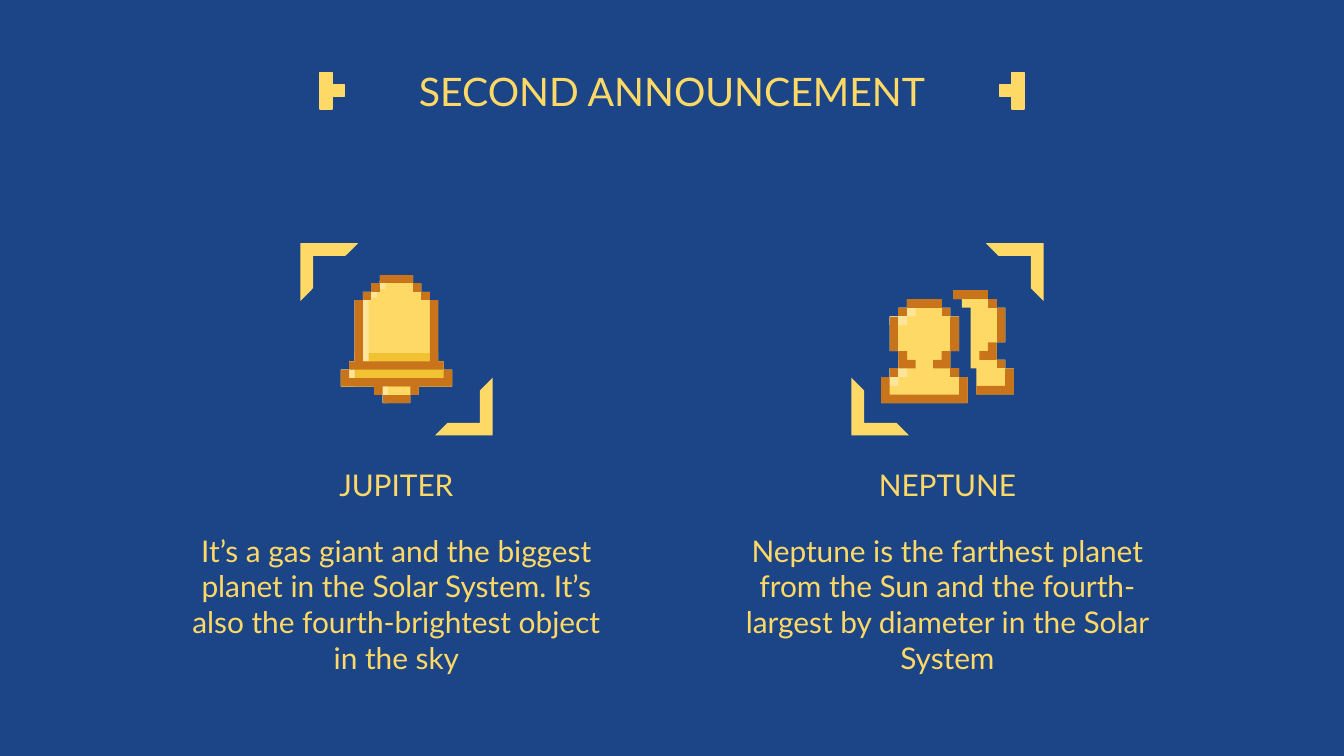
from pptx import Presentation
from pptx.dml.color import RGBColor
from pptx.enum.shapes import MSO_SHAPE as Shape
from pptx.enum.text import MSO_ANCHOR as Anchor, MSO_AUTO_SIZE as Fit, PP_ALIGN as Align
from pptx.util import Inches, Pt
from lxml import etree

# The slide is a grid of square cells, 100 columns wide
CELL = Inches(0.1)
COLS, ROWS = 100, 56.25
NAVY, GOLD, AMBER, CREAM, BROWN = "1C4587", "FFD966", "F1C232", "FFE599", "C9741B"

# Each outline lists x and y by turns, as its edges run down or up, then across
BELL = [
    (GOLD, "14 3 11 6 8 9 5 31 3 34 0 40 12 43 15 46 25 43 28 40 40 34 37 31 35 9 32 6 29 3 26 0"),
    (AMBER, "5 31 3 34 0 40 40 34 37 31 35 28"),
    (CREAM, "14 3 11 6 8 9 5 31 10 9 11 8 13 6 14 5 16 2"),
    (CREAM, "3 34 0 40 5 31"),
    (CREAM, "12 43 15 46 17 39"),
    (BROWN, "8 9 11 6"),
    (BROWN, "11 6 14 3"),
    (BROWN, "5 31 3 34 37 31 35 9 32 31 8 9"),
    (BROWN, "15 46 25 43"),
    (BROWN, "14 3 26 0"),
    (BROWN, "29 9 32 6"),
    (BROWN, "26 6 29 3"),
    (BROWN, "0 40 12 43 15 40 25 43 28 40 40 34 37 37 3 34"),
]
USERS = [
    (GOLD, "9 6 6 9 3 21 6 27 3 30 0 39 30 30 27 27 24 21 27 9 24 6 21 3"),
    (CREAM, "9 6 6 9 3 12 9 9 12 3"),
    (CREAM, "6 27 3 30 0 33 6 30 9 24"),
    (GOLD, "25 3 28 6 31 27 33 36 46 27 43 24 40 18 43 6 40 3 37 0"),
    (BROWN, "3 21 6 9"),
    (BROWN, "24 21 27 9"),
    (BROWN, "9 6 21 3"),
    (BROWN, "6 9 9 6"),
    (BROWN, "21 9 24 6"),
    (BROWN, "21 24 18 27 24 21"),
    (BROWN, "3 30 6 27"),
    (BROWN, "24 30 27 27"),
    (BROWN, "0 39 30 30 27 36 3 30"),
    (BROWN, "6 27 12 24 9 21"),
    (BROWN, "40 18 43 6"),
    (BROWN, "25 3 37 0"),
    (BROWN, "37 6 40 3"),
    (BROWN, "37 21 34 24 40 18"),
    (BROWN, "40 27 43 24"),
    (BROWN, "43 33 33 36 46 27"),
]
STUB = [(GOLD, f"{x} {y + 1} {x + 1} {y}") for x, y in [(0, 2), (0, 1), (0, 0), (1, 1)]]
STUB_BACK = [(GOLD, f"{x} {y + 1} {x + 1} {y}") for x, y in [(1, 0), (1, 1), (1, 2), (0, 1)]]


def grid(*sizes):
    return [round(size * CELL) for size in sizes]


def hue(code):
    return RGBColor.from_string(code)


def paint(shape, code, line=0):
    shape.shadow.inherit = False
    shape.fill.solid()
    shape.fill.fore_color.rgb = hue(code)
    if line:
        shape.line.color.rgb = hue(code)
        shape.line.width = Pt(line)
    else:
        shape.line.fill.background()


def write(holder, text, box, size, anchor):
    holder.left, holder.top, holder.width, holder.height = grid(*box)
    frame = holder.text_frame
    frame.text = text
    frame.word_wrap = True
    frame.auto_size = Fit.NONE
    frame.vertical_anchor = anchor
    frame.margin_left = frame.margin_right = CELL
    frame.margin_top = frame.margin_bottom = CELL
    para = frame.paragraphs[0]
    props = para._p.get_or_add_pPr()
    props.set("marL", "0")
    props.set("indent", "0")
    etree.SubElement(props, "{http://schemas.openxmlformats.org/drawingml/2006/main}buNone")
    para.alignment = Align.CENTER
    para.space_before = Pt(0)
    font = para.runs[0].font
    font.name, font.size, font.bold = "Lato", Pt(size), False
    font.color.rgb = hue(GOLD)


def draw(slide, parts, x, y, unit, line=0):
    """Draw the outlines as one group, each step being unit cells long."""
    group = slide.shapes.add_group_shape()
    for code, steps in parts:
        nums = [int(step) for step in steps.split()]
        xs, ys = nums[::2], nums[1::2]
        dots = [(a, b) for i, a in enumerate(xs) for b in (ys[i - 1], ys[i])]
        path = group.shapes.build_freeform(*dots[0], scale=unit * CELL)
        path.add_line_segments(dots[1:])
        paint(path.convert_to_shape(*grid(x, y)), code, line)


def header(slide, holder, text, box):
    write(holder, text, box, 21, Anchor.BOTTOM)
    x, y, wide, high = box
    mid, top, unit = x + wide / 2, y + 2.2, 0.9
    draw(slide, STUB, mid - 26.2, top, unit, 0.75)
    draw(slide, STUB_BACK, mid + 26.2 - 2 * unit, top, unit, 0.75)


def card(slide, holders, texts, icon, box, flip):
    """Stack framed icon, name and text; flip moves the frame to the other corners."""
    x, y, wide, high = box
    side, arm = 14.3, 4.3
    name, body = holders
    write(name, texts[0], (x, y + 16, wide, 4.3), 16, Anchor.BOTTOM)
    write(body, texts[1], (x, y + 20.5, wide, high - 20.5), 16, Anchor.TOP)

    parts, across, down, unit = icon
    mid = x + wide / 2
    draw(slide, parts, mid - across * unit / 2, y + 11.9 - down * unit, unit)

    left, gap = mid - side / 2, side - arm
    for dx, dy, turn in [(gap, 0, 90), (0, gap, 270)] if flip else [(0, 0, 0), (gap, gap, 180)]:
        edge = slide.shapes.add_shape(Shape.HALF_FRAME, *grid(left + dx, y + dy, arm, arm))
        edge.adjustments[0] = edge.adjustments[1] = 0.22
        edge.rotation = turn
        paint(edge, GOLD)


def main():
    deck = Presentation()
    deck.slide_width, deck.slide_height = grid(COLS, ROWS)
    slide = deck.slides.add_slide(deck.slide_layouts.get_by_name("Comparison"))
    slide.background.fill.solid()
    slide.background.fill.fore_color.rgb = hue(NAVY)

    title, *rest = slide.placeholders
    header(slide, title, "SECOND ANNOUNCEMENT", (3.4, 3.2, 93.2, 6.3))
    top, wide, high, edge = 18.1, 33.8, 32.6, 12.6
    cards = [
        ("JUPITER", "It’s a gas giant and the biggest planet in the Solar System. "
         "It’s also the fourth-brightest object in the sky", (BELL, 40, 46, 0.207)),
        ("NEPTUNE", "Neptune is the farthest planet from the Sun and the "
         "fourth-largest by diameter in the Solar System", (USERS, 46, 39, 0.215)),
    ]
    for i, (name, text, icon) in enumerate(cards):
        x = COLS - edge - wide if i else edge
        card(slide, rest[2 * i:2 * i + 2], (name, text), icon, (x, top, wide, high), i == 1)
    deck.save("out.pptx")


if __name__ == "__main__":
    main()
